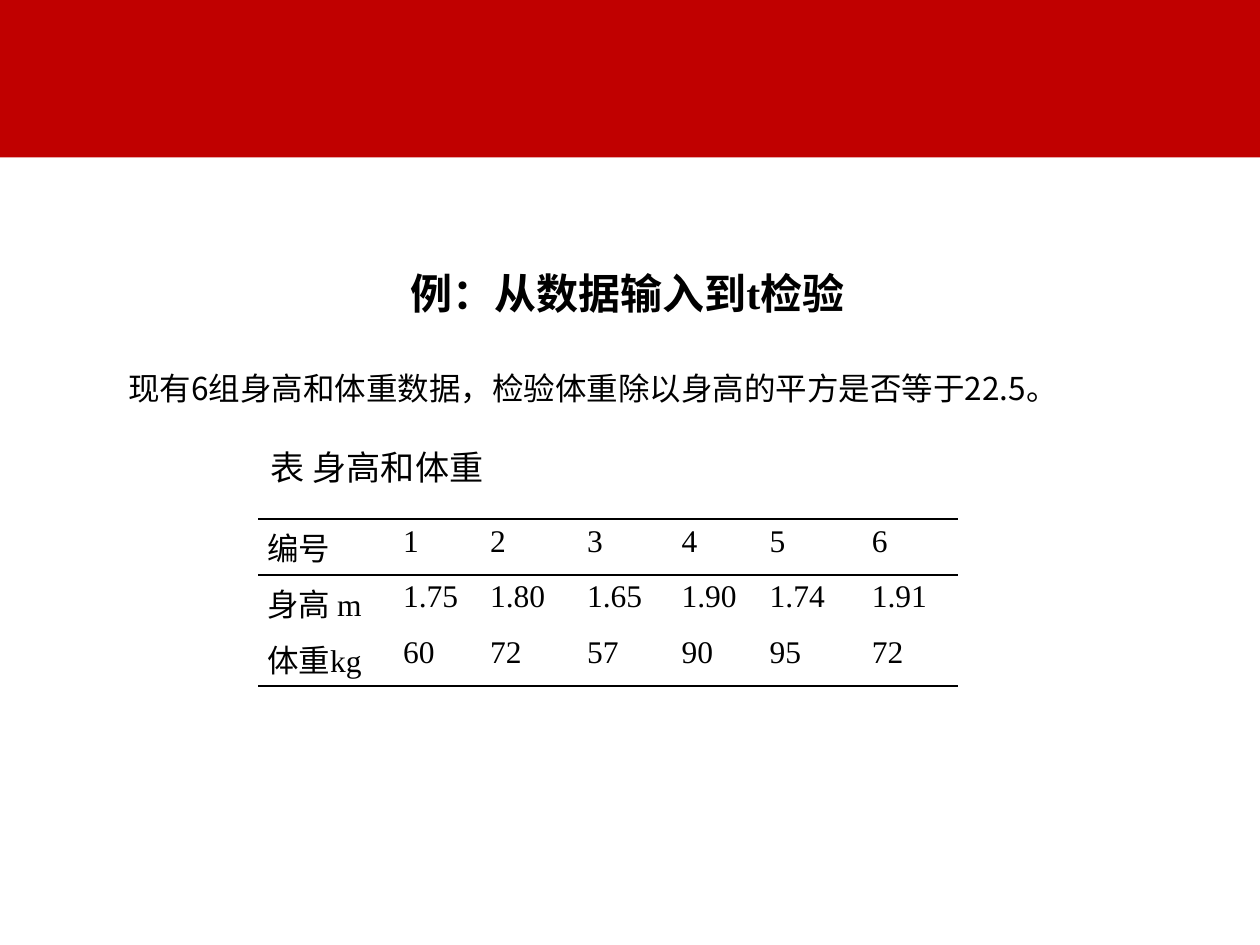
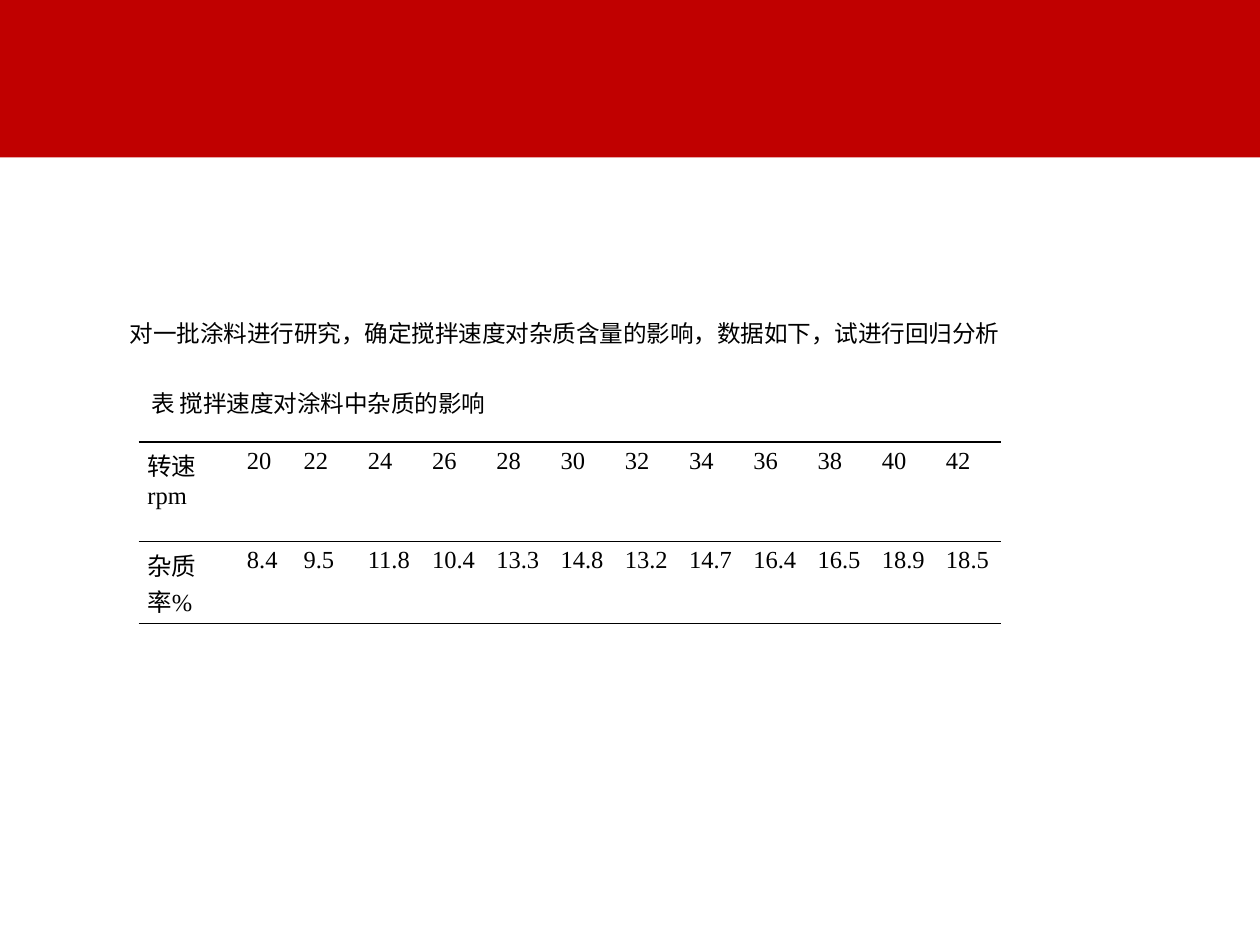
"""Builds two slides of small data tables under a shared red band."""
from lxml import etree
from pptx import Presentation
from pptx.dml.color import RGBColor
from pptx.enum import shapes, text
from pptx.oxml import ns
from pptx.util import Inches, Pt

BAND, INK = "C00000", "000000"
SERIF, SANS = "Times New Roman", "Noto Sans CJK SC"
TITLE_ONLY, BLANK = 5, 6
HANGING = 0.38


def color(value):
    """Return the colour for a hex string."""
    return RGBColor.from_string(value)


def format_paragraph(paragraph, wording, name, size, bold=False):
    """Write one run in a paragraph and format it."""
    run = paragraph.add_run()
    run.text = wording
    for key, value in {"name": name, "size": Pt(size), "bold": bold}.items():
        setattr(run.font, key, value)
    run.font.color.rgb = color(INK)


def place(shape, box):
    """Move a shape to a box given in inches."""
    for key, value in zip(("left", "top", "width", "height"), box):
        setattr(shape, key, Inches(value))


def add_master_band(presentation, slide):
    """Put the red band behind everything on the slide master."""
    band = slide.shapes.add_shape(
        shapes.MSO_SHAPE.RECTANGLE, 0, 0, presentation.slide_width, Inches(1.25))
    band.shadow.inherit = False
    band.fill.solid()
    band.fill.fore_color.rgb = color(BAND)
    band.line.fill.background()
    presentation.slide_master.element.cSld.spTree.insert(2, band.element)


def add_title(slide, wording, box):
    """Fill the title placeholder."""
    title = slide.shapes.title
    place(title, box)
    frame = title.text_frame
    frame.auto_size = text.MSO_AUTO_SIZE.NONE
    frame.vertical_anchor = text.MSO_ANCHOR.MIDDLE
    paragraph = frame.paragraphs[0]
    paragraph.alignment = text.PP_ALIGN.CENTER
    paragraph.line_spacing = 1.5
    format_paragraph(paragraph, wording, SERIF, 24, bold=True)


def add_line_of_text(slide, wording, box, size, line_spacing=1.0):
    """Add a wrapping text box with one paragraph."""
    frame = slide.shapes.add_textbox(*map(Inches, box)).text_frame
    frame.word_wrap = True
    paragraph = frame.paragraphs[0]
    paragraph.line_spacing = line_spacing
    format_paragraph(paragraph, wording, SANS, size)


def set_borders(cell, widths):
    """Draw the given sides of a cell and clear the others."""
    properties = cell._tc.get_or_add_tcPr()
    for index, side in enumerate(("lnL", "lnR", "lnT", "lnB")):
        line = etree.Element(ns.qn(f"a:{side}"))
        properties.insert(index, line)
        if side in widths:
            line.set("w", str(Pt(widths[side])))
            fill = etree.SubElement(line, ns.qn("a:solidFill"))
            etree.SubElement(fill, ns.qn("a:srgbClr"), val=INK)
        else:
            etree.SubElement(line, ns.qn("a:noFill"))


def add_ruled_table(slide, rows, position, widths, heights, size, top_rule, hanging_labels):
    """Add a table ruled above, below its header row and at its foot."""
    frame = slide.shapes.add_table(
        len(rows), len(widths), *map(Inches, (*position, sum(widths), sum(heights))))
    table = frame.table
    table.first_row = table.horz_banding = False
    for column, width in zip(table.columns, widths):
        column.width = Inches(width)
    for row, height in zip(table.rows, heights):
        row.height = Inches(height)
    rules = [top_rule, 1] + [None] * (len(rows) - 2) + [1]
    margins = {"margin_left": 0.07, "margin_right": 0.07,
               "margin_top": 0.04, "margin_bottom": 0.04}
    for row_index, values in enumerate(rows):
        sides = {"lnT": rules[row_index], "lnB": rules[row_index + 1]}
        for column_index, value in enumerate(values):
            cell = table.cell(row_index, column_index)
            for key, margin in margins.items():
                setattr(cell, key, Inches(margin))
            cell.fill.background()
            set_borders(cell, {side: width for side, width in sides.items() if width})
            paragraph = cell.text_frame.paragraphs[0]
            if column_index or hanging_labels:
                indent = paragraph._p.get_or_add_pPr()
                indent.set("marL", str(Inches(HANGING)))
                indent.set("indent", str(-Inches(HANGING)))
            format_paragraph(paragraph, value, SERIF, size)


def build_t_test(slide):
    """Fill the slide on height and weight."""
    add_title(slide, "例：从数据输入到t检验", (0, 1.89, 9.96, 0.66))
    rows = [["编号", "1", "2", "3", "4", "5", "6"],
            ["身高 m", "1.75", "1.80", "1.65", "1.90", "1.74", "1.91"],
            ["体重kg", "60", "72", "57", "90", "95", "72"]]
    add_ruled_table(slide, rows, (2.05, 4.12), [1.08, 0.69, 0.77, 0.75, 0.7, 0.81, 0.75],
                    [0.44] * 3, 18, 1.5, True)
    add_line_of_text(slide, "表 身高和体重", (2.05, 3.49, 5.55, 0.43), 19.5)
    add_line_of_text(slide, "现有6组身高和体重数据，检验体重除以身高的平方是否等于22.5。",
                     (0.92, 2.91, 8.09, 0.37), 18, 0.9)


def build_regression(slide):
    """Fill the slide on stirring speed and impurities."""
    speeds = [str(speed) for speed in range(20, 43, 2)]
    impurities = "8.4 9.5 11.8 10.4 13.3 14.8 13.2 14.7 16.4 16.5 18.9 18.5".split()
    rows = [["转速rpm", *speeds], ["杂质率%", *impurities]]
    add_ruled_table(slide, rows, (1.1, 3.51), [0.79, 0.45] + [0.51] * 11,
                    [0.79, 0.65], 14, 1, False)
    add_line_of_text(slide, "对一批涂料进行研究，确定搅拌速度对杂质含量的影响，数据如下，试进行回归分析",
                     (0.93, 2.48, 7.85, 0.33), 13.5)
    add_line_of_text(slide, "表 搅拌速度对涂料中杂质的影响", (1.1, 3.04, 6.62, 0.33), 13.5)


def main():
    """Build and save the presentation."""
    presentation = Presentation()
    presentation.slide_width, presentation.slide_height = Inches(10), Inches(7.5)
    layouts = presentation.slide_layouts
    t_test = presentation.slides.add_slide(layouts[TITLE_ONLY])
    add_master_band(presentation, t_test)
    build_t_test(t_test)
    build_regression(presentation.slides.add_slide(layouts[BLANK]))
    presentation.save("out.pptx")


if __name__ == "__main__":
    main()
